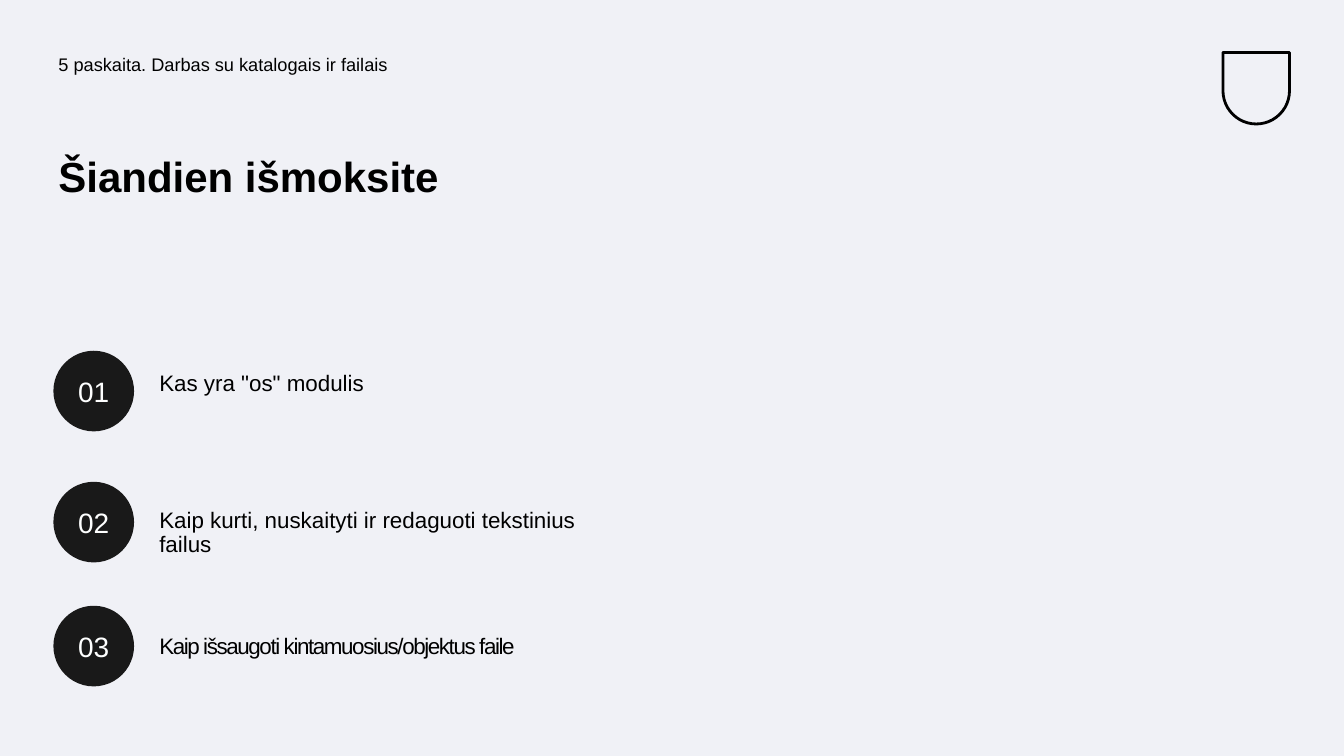
from dataclasses import dataclass

from lxml.etree import SubElement
from pptx import Presentation
from pptx.dml.color import RGBColor
from pptx.enum.shapes import MSO_SHAPE
from pptx.enum.text import MSO_ANCHOR, MSO_AUTO_SIZE, PP_ALIGN
from pptx.oxml.ns import qn
from pptx.util import Inches, Pt


@dataclass(frozen=True)
class Theme:
    font: str = "Arial"
    background: RGBColor = RGBColor(0xF0, 0xF1, 0xF6)
    ink: RGBColor = RGBColor(0x00, 0x00, 0x00)
    badge: RGBColor = RGBColor(0x19, 0x19, 0x19)
    badge_text: RGBColor = RGBColor(0xFE, 0xFF, 0xFF)
    header_size: int = 13
    title_size: int = 30
    list_size: int = 16
    badge_size: int = 20


theme = Theme()
MARGIN = 0.53
LIST_LEFT = MARGIN + 1
BADGE = 0.8

# Goal, space before it in points, letter spacing, top of its badge in inches
goals = [
    ('Kas yra "os" modulis', 0, None, 3.48),
    ("Kaip kurti, nuskaityti ir redaguoti tekstinius failus", 80.5, None, 4.78),
    ("Kaip išsaugoti kintamuosius/objektus faile", 56, "-100", 6.01),
]


def place(shape, left, top, width, height):
    shape.left, shape.top = Inches(left), Inches(top)
    shape.width, shape.height = Inches(width), Inches(height)
    frame = shape.text_frame
    frame.word_wrap = True
    frame.auto_size = MSO_AUTO_SIZE.NONE
    frame.vertical_anchor = MSO_ANCHOR.TOP
    frame.margin_left = frame.margin_right = Inches(0.05)
    frame.margin_top = frame.margin_bottom = Inches(0.05)
    return frame


def format_paragraph(paragraph, size, color, bold=False, alignment=PP_ALIGN.LEFT):
    paragraph.alignment = alignment
    paragraph.line_spacing = 0.9
    for run in paragraph.runs:
        run.font.name = theme.font
        run.font.size = Pt(size)
        run.font.bold = bold
        run.font.color.rgb = color


presentation = Presentation()
presentation.slide_width = Inches(13.33)
presentation.slide_height = Inches(7.5)
slide = presentation.slides.add_slide(presentation.slide_layouts[1])
slide.background.fill.solid()
slide.background.fill.fore_color.rgb = theme.background

# Emblem in the top right corner
shield = slide.shapes.add_shape(
    MSO_SHAPE.ROUND_2_SAME_RECTANGLE,
    Inches(12.13), Inches(0.52), Inches(0.66), Inches(0.71))
shield.adjustments[0] = 0
shield.adjustments[1] = 0.5
shield.shadow.inherit = False
shield.fill.background()
shield.line.color.rgb = theme.ink
shield.line.width = Pt(2)

# Lecture name and title
header = slide.shapes.add_textbox(0, 0, 0, 0)
header_frame = place(header, MARGIN, 0.5, 6.14, 0.3)
header_frame.text = "5 paskaita. Darbas su katalogais ir failais"
format_paragraph(header_frame.paragraphs[0], theme.header_size, theme.ink)

title_frame = place(slide.shapes.title, MARGIN, 1.5, 5.63, 0.56)
title_frame.text = "Šiandien išmoksite"
format_paragraph(title_frame.paragraphs[0], theme.title_size, theme.ink, bold=True)

# Goals, each beside a numbered badge
list_frame = place(slide.placeholders[1], LIST_LEFT, 3.64, 4.63, 2.95)
list_frame.text = "\n".join(goal[0] for goal in goals)
for number, (paragraph, goal) in enumerate(zip(list_frame.paragraphs, goals), 1):
    text, space_before, letter_spacing, badge_top = goal
    properties = paragraph._p.get_or_add_pPr()
    properties.set("marL", "0")
    properties.set("indent", "0")
    SubElement(properties, qn("a:buNone"))
    paragraph.space_before = Pt(space_before)
    format_paragraph(paragraph, theme.list_size, theme.ink)
    if letter_spacing:
        paragraph.runs[0].font._element.set("spc", letter_spacing)

    badge = slide.shapes.add_shape(MSO_SHAPE.OVAL, 0, 0, 0, 0)
    badge_frame = place(badge, MARGIN, badge_top, BADGE, BADGE)
    badge.shadow.inherit = False
    badge.fill.solid()
    badge.fill.fore_color.rgb = theme.badge
    badge.line.fill.background()
    badge_frame.vertical_anchor = MSO_ANCHOR.MIDDLE
    badge_frame.text = f"{number:02}"
    badge_paragraph = badge_frame.paragraphs[0]
    format_paragraph(badge_paragraph, theme.badge_size, theme.badge_text,
                     alignment=PP_ALIGN.CENTER)
    badge_paragraph.line_spacing = 1.0

presentation.save("out.pptx")
